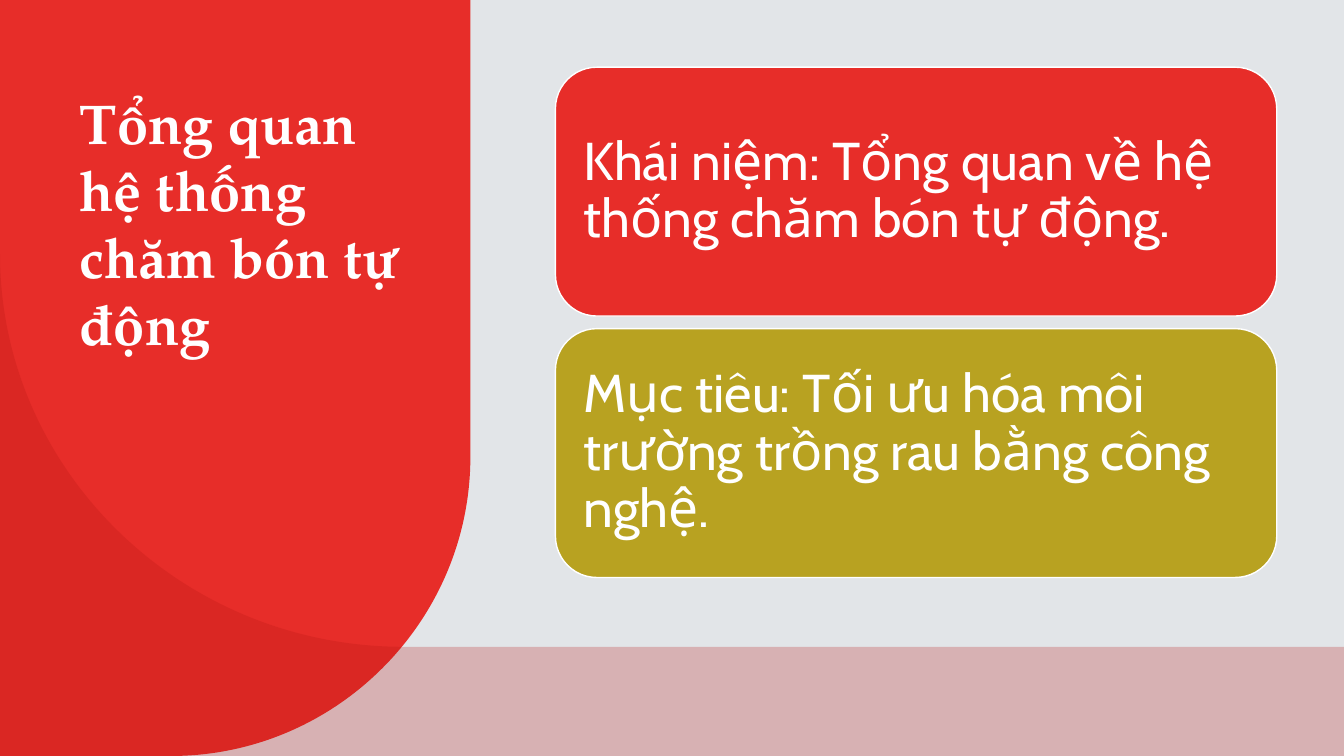
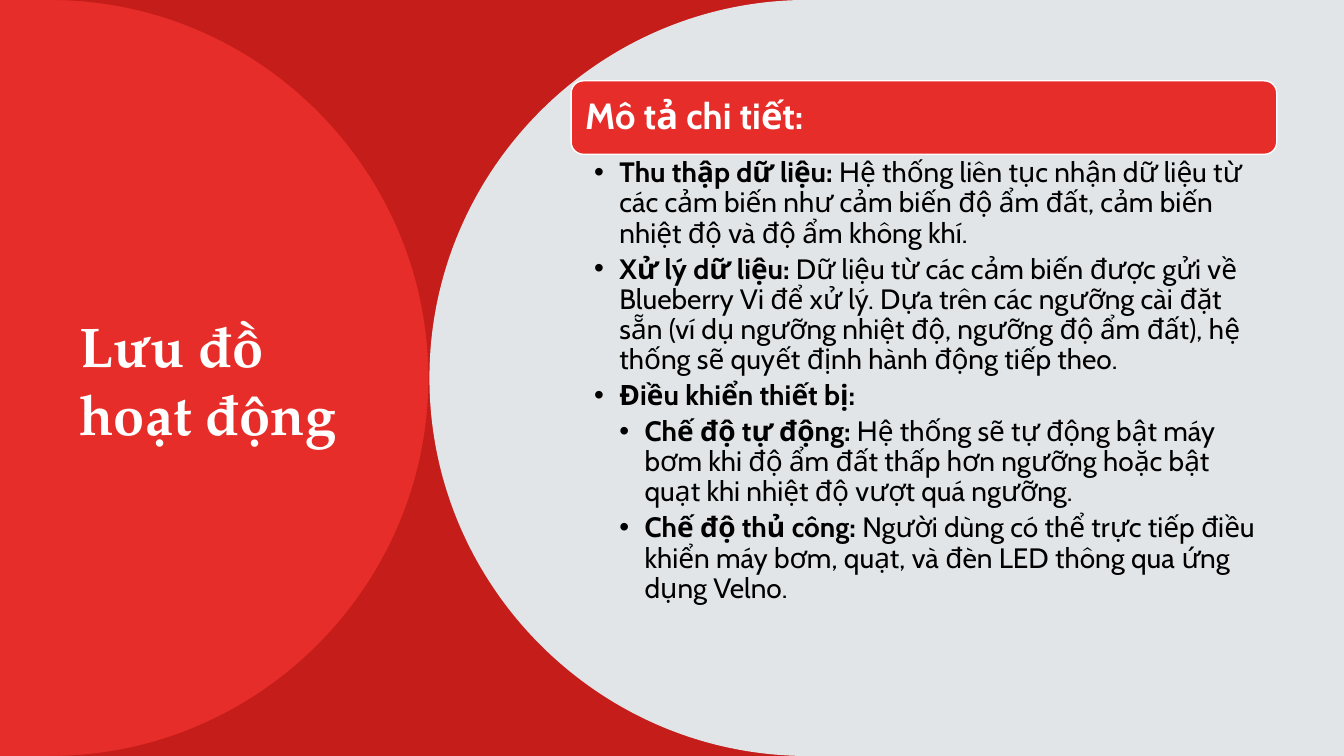
from dataclasses import dataclass

from lxml.etree import SubElement
from pptx import Presentation
from pptx.dml.color import RGBColor
from pptx.enum.shapes import MSO_SHAPE
from pptx.enum.text import MSO_ANCHOR, PP_ALIGN
from pptx.oxml.ns import qn
from pptx.util import Emu, Pt

PX = 9525
WIDTH, HEIGHT = 1280, 720
ROUNDNESS = 0.55


@dataclass(frozen=True)
class Theme:
    background: str = "E2E5E8"
    red: str = "E72D29"
    dark_red: str = "B71815"
    olive: str = "B8A221"
    white: str = "FFFFFF"
    black: str = "000000"
    title_font: str = "TeX Gyre Pagella"
    body_font: str = "Cabin"
    title_size: int = 40
    card_size: int = 38
    header_size: int = 26
    bullet_size: int = 20


THEME = Theme()


@dataclass(frozen=True)
class Curve:
    corner: tuple
    end: tuple

    def points(self, start):
        controls = [tuple(a + ROUNDNESS * (b - a) for a, b in zip(point, self.corner))
                    for point in (start, self.end)]
        return [*controls, self.end]


def px(*lengths):
    return [Emu(round(length * PX)) for length in lengths]


def write(paragraph, text, *, size, color, font=THEME.body_font, bold=False):
    run = paragraph.add_run()
    run.text = text
    run.font.name = font
    run.font.size = Pt(size)
    run.font.bold = bold
    run.font.color.rgb = RGBColor.from_string(color)


class Deck:
    def __init__(self):
        self.presentation = Presentation()
        self.presentation.slide_width, self.presentation.slide_height = px(WIDTH, HEIGHT)
        self.slide = None

    def new_slide(self):
        self.slide = self.presentation.slides.add_slide(self.presentation.slide_layouts[6])
        self.fill(self.slide.background, THEME.background)

    def fill(self, target, color, opacity=100):
        target.fill.solid()
        target.fill.fore_color.rgb = RGBColor.from_string(color)
        if opacity < 100:
            color_element = target.fill._xPr.find(qn("a:solidFill"))[0]
            SubElement(color_element, qn("a:alpha"), val=str(opacity * 1000))

    def outline(self, start, steps, color, opacity=100):
        points, curve_starts = [start], []
        for step in steps:
            if isinstance(step, Curve):
                curve_starts.append(len(points))
                points.extend(step.points(points[-1]))
            else:
                points.append(step)
        first, *others = [px(*point) for point in points]
        builder = self.slide.shapes.build_freeform(*first, scale=1.0)
        builder.add_line_segments(others, close=True)
        shape = builder.convert_to_shape()
        self.bend(shape, curve_starts)
        shape.shadow.inherit = False
        shape.line.fill.background()
        self.fill(shape, color, opacity)

    def bend(self, shape, curve_starts):
        outline = next(shape._element.iter(qn("a:path")))
        segments = list(outline)
        for index in curve_starts:
            lines = segments[index:index + 3]
            curve = SubElement(outline, qn("a:cubicBezTo"))
            lines[0].addprevious(curve)
            for line in lines:
                curve.append(line[0])
                outline.remove(line)

    def set_frame(self, shape, insets, anchor):
        frame = shape.text_frame
        frame.word_wrap = True
        frame.vertical_anchor = anchor
        (frame.margin_left, frame.margin_top,
         frame.margin_right, frame.margin_bottom) = px(*insets)
        return frame

    def text_box(self, box, insets, anchor=MSO_ANCHOR.TOP):
        return self.set_frame(self.slide.shapes.add_textbox(*px(*box)), insets, anchor)

    def title(self, text, box, anchor=MSO_ANCHOR.TOP):
        frame = self.text_box(box, (12, 12, 12, 10), anchor)
        write(frame.paragraphs[0], text, size=THEME.title_size, color=THEME.white,
              font=THEME.title_font, bold=True)

    def card(self, text, box, color, inset, size, bold=False):
        shape = self.slide.shapes.add_shape(MSO_SHAPE.ROUNDED_RECTANGLE, *px(*box))
        shape.shadow.inherit = False
        self.fill(shape, color)
        shape.line.color.rgb = RGBColor.from_string(THEME.white)
        shape.line.width = Pt(1)
        frame = self.set_frame(shape, [inset] * 4, MSO_ANCHOR.MIDDLE)
        paragraph = frame.paragraphs[0]
        paragraph.alignment = PP_ALIGN.LEFT
        paragraph.line_spacing = 0.9
        write(paragraph, text, size=size, color=THEME.white, bold=bold)

    def bullets(self, items, box):
        frame = self.text_box(box, (22, 4, 19, 4))
        for index, (level, lead, detail) in enumerate(items):
            paragraph = frame.add_paragraph() if index else frame.paragraphs[0]
            paragraph.level = level
            paragraph.line_spacing = 0.9
            paragraph.space_after = Pt(4)
            properties = paragraph._p.get_or_add_pPr()
            indent = px(24)[0]
            properties.set("marL", str(indent * level))
            properties.set("indent", str(-indent))
            SubElement(properties, qn("a:buFont"), typeface="Arial")
            SubElement(properties, qn("a:buChar"), char="•")
            for text, bold in ((lead, True), (detail, False)):
                if text:
                    write(paragraph, text, size=THEME.bullet_size, color=THEME.black, bold=bold)


def build_overview(deck):
    deck.new_slide()
    deck.outline((0, 0), [(448, 0), (448, 435), Curve((448, HEIGHT), (163, HEIGHT)),
                          (0, HEIGHT)], THEME.red)
    deck.outline((0, 242), [Curve((0, 616), (384, 616)), (WIDTH, 616), (WIDTH, HEIGHT),
                            (0, HEIGHT)], THEME.dark_red, opacity=25)
    deck.title("Tổng quan hệ thống chăm bón tự động", (64, 72, 352, 408))
    cards = (("Khái niệm: Tổng quan về hệ thống chăm bón tự động.", THEME.red),
             ("Mục tiêu: Tối ưu hóa môi trường trồng rau bằng công nghệ.", THEME.olive))
    for index, (text, color) in enumerate(cards):
        deck.card(text, (529, 64 + index * 249, 687, 237), color, inset=15, size=THEME.card_size)


def build_flow(deck):
    deck.new_slide()

    def half_circle(edge, end):
        return [Curve((edge, 0), (edge, HEIGHT / 2)), Curve((edge, HEIGHT), (end, HEIGHT))]

    deck.outline((0, 0), [(772, 0), *half_circle(412, 772), (0, HEIGHT)], THEME.red)
    deck.outline((48, 0), [*half_circle(408, 48), (820, HEIGHT), (820, 0)],
                 THEME.dark_red, opacity=70)
    deck.title("Lưu đồ hoạt động", (64, 72, 313, 576), MSO_ANCHOR.MIDDLE)
    deck.outline((769, 0), [*half_circle(409, 769), (1035, HEIGHT), (1035, 0)],
                 THEME.background)
    deck.card("Mô tả chi tiết:", (544, 77, 672, 70), THEME.red, inset=10,
              size=THEME.header_size, bold=True)
    deck.bullets((
        (1, "Thu thập dữ liệu:", " Hệ thống liên tục nhận dữ liệu từ các cảm biến như cảm biến "
                                 "độ ẩm đất, cảm biến nhiệt độ và độ ẩm không khí."),
        (1, "Xử lý dữ liệu:", " Dữ liệu từ các cảm biến được gửi về Blueberry Vi để xử lý. "
                              "Dựa trên các ngưỡng cài đặt sẵn (ví dụ ngưỡng nhiệt độ, "
                              "ngưỡng độ ẩm đất), hệ thống sẽ quyết định hành động tiếp theo."),
        (1, "Điều khiển thiết bị:", ""),
        (2, "Chế độ tự động:", " Hệ thống sẽ tự động bật máy bơm khi độ ẩm đất thấp hơn ngưỡng "
                               "hoặc bật quạt khi nhiệt độ vượt quá ngưỡng."),
        (2, "Chế độ thủ công:", " Người dùng có thể trực tiếp điều khiển máy bơm, quạt, "
                                "và đèn LED thông qua ứng dụng Velno."),
    ), (544, 147, 672, 486))


def main():
    deck = Deck()
    build_overview(deck)
    build_flow(deck)
    deck.presentation.save("out.pptx")


if __name__ == "__main__":
    main()
